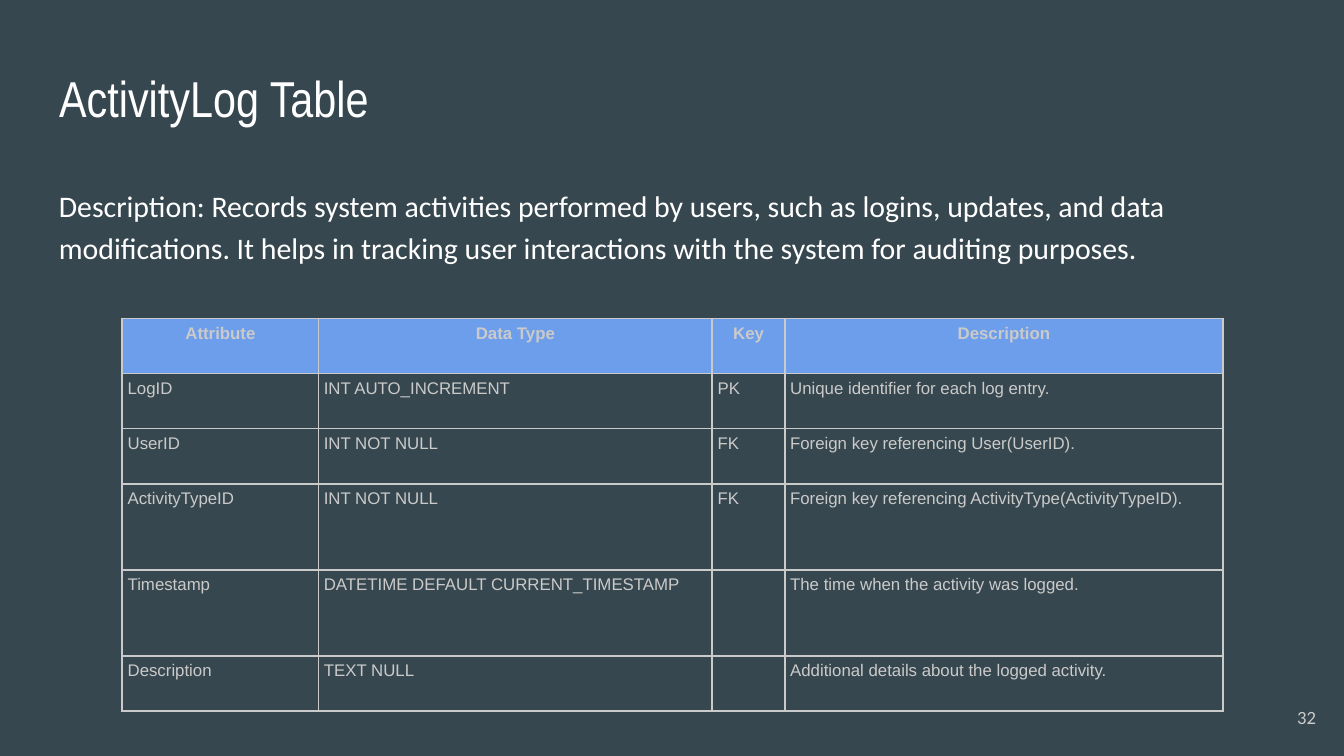
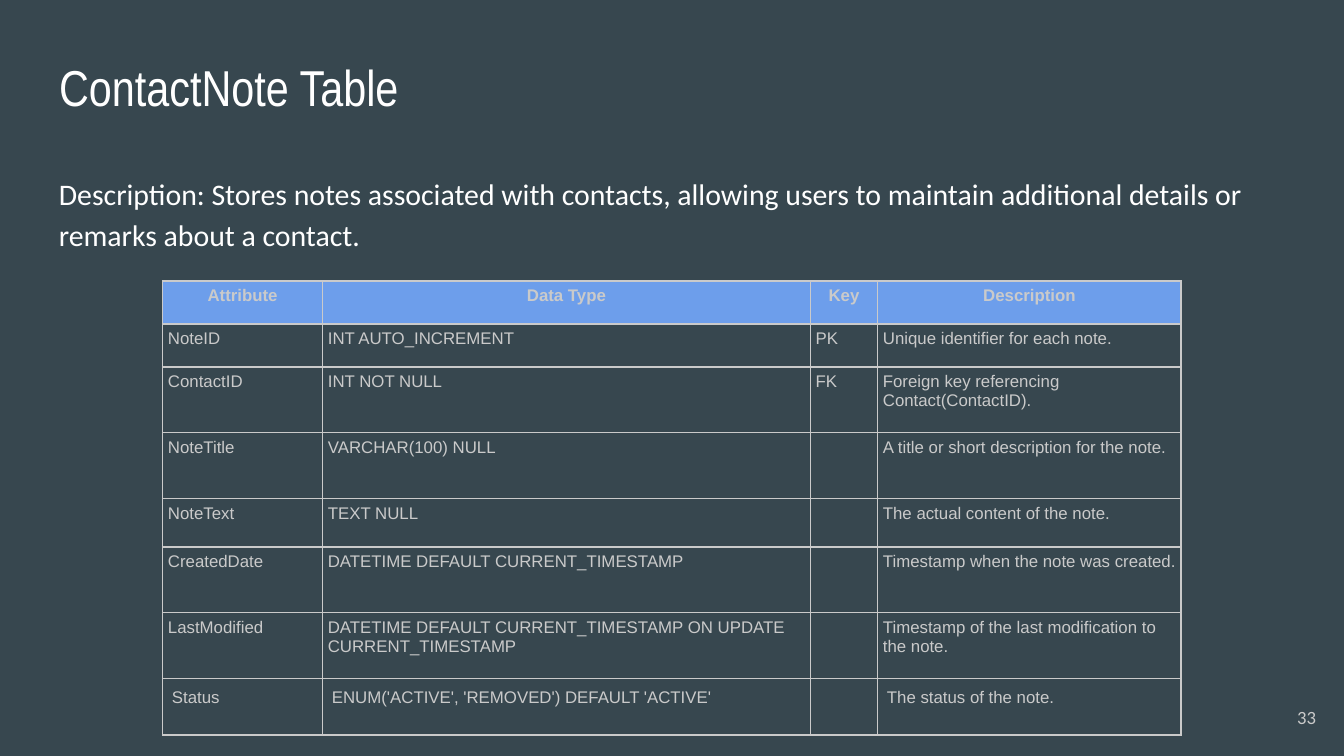
from pptx import Presentation
from pptx import util as u
from pptx.dml.color import RGBColor
from pptx.enum import text
from pptx.oxml import parse_xml
from pptx.oxml.ns import nsdecls

BACKDROP = "37474F"
WHITE = "FFFFFF"
GREY = "CACACA"
HEADER_BLUE = "6D9EEB"
HEADINGS = ("Attribute", "Data Type", "Key", "Description")
TIMESTAMP = "DATETIME DEFAULT CURRENT_TIMESTAMP"


def color(value):
    """Return the colour for a hex string."""
    return RGBColor.from_string(value)


def style_para(para, size, face, value, bold=False):
    """Set the font of a whole paragraph."""
    font = para.font
    font.size, font.name, font.bold = u.Pt(size), face, bold
    font.color.rgb = color(value)


def set_margins(frame, inset):
    """Give a text frame or cell the same inset on all sides."""
    frame.margin_left = frame.margin_right = u.Inches(inset)
    frame.margin_top = frame.margin_bottom = u.Inches(inset)


def fill_frame(box, words, anchor=text.MSO_ANCHOR.TOP):
    """Put words in a shape and return its paragraph."""
    frame = box.text_frame
    frame.word_wrap = True
    frame.auto_size = text.MSO_AUTO_SIZE.NONE
    frame.vertical_anchor = anchor
    set_margins(frame, 0.1)
    frame.text = words
    return frame.paragraphs[0]


def add_title(page, words, top):
    """Place and format the title placeholder."""
    title = page.shapes.title
    title.left, title.top = u.Inches(0.34), u.Inches(top)
    title.width, title.height = u.Inches(9.32), u.Inches(0.63)
    para = fill_frame(title, words)
    para.alignment = text.PP_ALIGN.LEFT
    style_para(para, 27, "Arial Narrow", WHITE)


def add_text(page, words, place, size, value, anchor=text.MSO_ANCHOR.TOP):
    """Add a Calibri text box and return its paragraph."""
    box = page.shapes.add_textbox(*map(u.Inches, place))
    para = fill_frame(box, words, anchor)
    style_para(para, size, "Calibri", value)
    return para


def border_cell(cell):
    """Draw a one-point grey line on each side of a cell."""
    properties = cell._tc.get_or_add_tcPr()
    for index, side in enumerate(("lnL", "lnR", "lnT", "lnB")):
        properties.insert(index, parse_xml(
            f'<a:{side} {nsdecls("a")} w="12700"><a:solidFill>'
            f'<a:srgbClr val="{GREY}"/></a:solidFill></a:{side}>'))


def format_cell(cell, words, is_header, inset):
    """Fill, border and write one table cell."""
    set_margins(cell, inset)
    if is_header:
        cell.fill.solid()
        cell.fill.fore_color.rgb = color(HEADER_BLUE)
    else:
        cell.fill.background()
    border_cell(cell)
    para = cell.text_frame.paragraphs[0]
    if not words:
        para._p.append(parse_xml(
            f'<a:endParaRPr {nsdecls("a")} sz="1800">'
            '<a:latin typeface="Arial"/></a:endParaRPr>'))
        return
    para.text = words
    para.space_before = u.Pt(3)
    if is_header:
        para.alignment = text.PP_ALIGN.CENTER
    style_para(para, 9, "Arial", GREY, is_header)


def add_schema(page, left, top, widths, heights, fields, last_inset):
    """Add the table that lists the fields of a database table."""
    rows = [HEADINGS, *fields]
    frame = page.shapes.add_table(
        len(rows), len(widths), u.Inches(left), u.Inches(top),
        u.Inches(sum(widths)), u.Inches(sum(heights)))
    table = frame.table
    table.first_row = table.horz_banding = False
    for column, width in zip(table.columns, widths):
        column.width = u.Inches(width)
    for number, (row, height, words) in enumerate(zip(table.rows, heights, rows)):
        row.height = u.Inches(height)
        inset = last_inset if number == len(fields) else 0.04
        for cell, word in zip(row.cells, words):
            format_cell(cell, word, number == 0, inset)


def add_page(deck, number, title, title_top, summary, summary_place, **schema):
    """Add a slide with title, summary, schema table and page number."""
    page = deck.slides.add_slide(deck.slide_layouts[5])
    add_title(page, title, title_top)
    para = add_text(page, summary, summary_place, 16, WHITE)
    para.line_spacing = 1.15
    add_schema(page, **schema)
    para = add_text(page, str(number), (9.29, 5.12, 0.6, 0.43), 10, GREY,
                    text.MSO_ANCHOR.MIDDLE)
    para.alignment = text.PP_ALIGN.RIGHT


def main():
    """Build the deck."""
    deck = Presentation()
    deck.slide_width = u.Inches(10)
    deck.slide_height = u.Inches(10 * 9 / 16)
    backdrop = deck.slide_master.background.fill
    backdrop.solid()
    backdrop.fore_color.rgb = color(BACKDROP)

    add_page(
        deck, 32, "ActivityLog Table", 0.4,
        "Description: Records system activities performed by users, such as "
        "logins, updates, and data modifications. It helps in tracking user "
        "interactions with the system for auditing purposes.",
        (0.34, 1.26, 9.32, 1.41),
        left=0.91, top=2.37, widths=(1.46, 2.93, 0.54, 3.26),
        heights=(0.41, 0.41, 0.41, 0.64, 0.64, 0.41), last_inset=0.04,
        fields=[
            ("LogID", "INT AUTO_INCREMENT", "PK",
             "Unique identifier for each log entry."),
            ("UserID", "INT NOT NULL", "FK",
             "Foreign key referencing User(UserID)."),
            ("ActivityTypeID", "INT NOT NULL", "FK",
             "Foreign key referencing ActivityType(ActivityTypeID)."),
            ("Timestamp", TIMESTAMP, "",
             "The time when the activity was logged."),
            ("Description", "TEXT NULL", "",
             "Additional details about the logged activity."),
        ])

    add_page(
        deck, 33, "ContactNote Table", 0.32,
        "Description: Stores notes associated with contacts, allowing users "
        "to maintain additional details or remarks about a contact.",
        (0.34, 1.17, 9.32, 1.67),
        left=1.21, top=2.09, widths=(1.19, 3.63, 0.5, 2.26),
        heights=(0.32, 0.32, 0.49, 0.49, 0.32, 0.49, 0.49, 0.39),
        last_inset=0.07,
        fields=[
            ("NoteID", "INT AUTO_INCREMENT", "PK",
             "Unique identifier for each note."),
            ("ContactID", "INT NOT NULL", "FK",
             "Foreign key referencing Contact(ContactID)."),
            ("NoteTitle", "VARCHAR(100) NULL", "",
             "A title or short description for the note."),
            ("NoteText", "TEXT NULL", "", "The actual content of the note."),
            ("CreatedDate", TIMESTAMP, "",
             "Timestamp when the note was created."),
            ("LastModified", f"{TIMESTAMP} ON UPDATE CURRENT_TIMESTAMP", "",
             "Timestamp of the last modification to the note."),
            ("Status", "ENUM('ACTIVE', 'REMOVED') DEFAULT 'ACTIVE'", "",
             "The status of the note."),
        ])
    deck.save("out.pptx")


if __name__ == "__main__":
    main()
